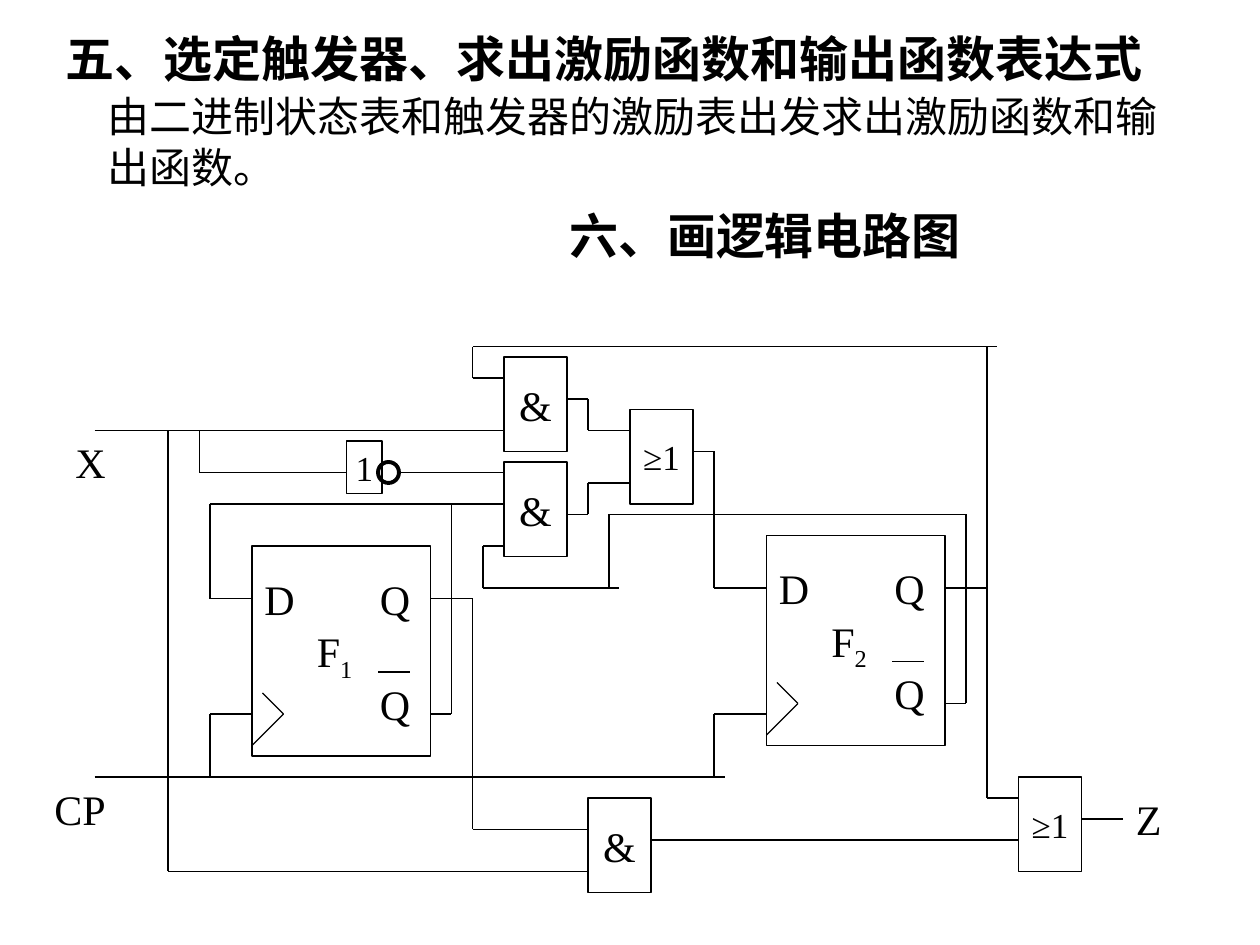
from itertools import pairwise
from pptx import Presentation
from pptx.dml.color import RGBColor
from pptx.enum.shapes import MSO_CONNECTOR, MSO_SHAPE
from pptx.enum.text import MSO_ANCHOR, MSO_AUTO_SIZE, PP_ALIGN
from pptx.oxml.ns import qn
from pptx.util import Inches, Pt
from lxml.etree import SubElement

BLACK = RGBColor(0x00, 0x00, 0x00)
FONT = "Times New Roman"

# Wording: text, box in inches, format
TITLE = ("五、选定触发器、求出激励函数和输出函数表达式", (0.42, 0.18, 9, 0.57))
BODY = ("由二进制状态表和触发器的激励表出发求出激励函数和输出函数。", (0.75, 0.67, 8.83, 0.9))
HEAD = ("六、画逻辑电路图", (4.42, 1.58, 3.5, 0.57))
BIG = {"size": Pt(28), "bold": True}
MID = {"size": Pt(24), "bold": False}
LOW = {"size": Pt(20), "bold": False}

# Circuit: all places are in grid steps of 1/12 inch
STEP = 1 / 12
FLOPS = [("1", 24, 52), ("2", 73, 51)]
PINS = [("D", 0, 2), ("Q", 11, 2), ("Q", 11, 12)]
MARKS = [
    [(1, 14), (3, 16), (0, 19)],  # clock wedge
    [(12, 12), (15, 12)],         # bar over Q
]
GATES = [
    ("&", (48, 34, 6, 9), MID),
    ("&", (48, 44, 6, 9), MID),
    ("&", (56, 76, 6, 9), MID),
    ("≥1", (60, 39, 6, 9), LOW),
    ("≥1", (97, 74, 6, 9), LOW),
    ("1", (33, 42, 3.4, 5), LOW),
]
BUBBLE = (36, 44, 2, 2)
PORTS = [("X", (6, 41, 6, 6)), ("CP", (4, 74, 10, 6)), ("Z", (107, 75, 8, 6))]
WIRES = [
    # clock
    [(9, 74), (69, 74)],
    [(24, 68), (20, 68), (20, 74)],
    [(68, 74), (68, 68), (73, 68)],
    # input X
    [(9, 41), (48, 41)],
    [(19, 41), (19, 45), (33, 45)],
    [(38, 45), (48, 45)],
    [(16, 41), (16, 83), (56, 83)],
    # first flip-flop
    [(24, 57), (20, 57), (20, 48), (48, 48)],
    [(41, 68), (43, 68), (43, 48)],
    [(41, 57), (45, 57), (45, 79), (56, 79)],
    # second flip-flop
    [(90, 56), (94, 56)],
    [(94, 33), (94, 76), (97, 76)],
    [(48, 36), (45, 36), (45, 33), (95, 33)],
    [(90, 67), (92, 67), (92, 49), (58, 49), (58, 56)],
    [(48, 52), (46, 52), (46, 56), (59, 56)],
    # gate outputs
    [(54, 38), (56, 38), (56, 41), (60, 41)],
    [(54, 49), (56, 49), (56, 46), (60, 46)],
    [(66, 43), (68, 43), (68, 56), (73, 56)],
    [(62, 80), (97, 80)],
    [(103, 78), (107, 78)],
]


def grid(*nums):
    return [Inches(n * STEP) for n in nums]


def style(font, form):
    for key, val in {"name": FONT, **form}.items():
        setattr(font, key, val)
    font.color.rgb = BLACK


def write(shape, text, form, align=PP_ALIGN.LEFT, **frame):
    base = {"word_wrap": True, "vertical_anchor": MSO_ANCHOR.TOP,
            "auto_size": MSO_AUTO_SIZE.NONE}
    for key, val in {**base, **frame}.items():
        setattr(shape.text_frame, key, val)
    para = shape.text_frame.paragraphs[0]
    para.alignment = align
    para.space_before = Pt(0)
    run = para.add_run()
    run.text = text
    style(run.font, form)
    return para


def place(shape, box):
    for key, val in zip(("left", "top", "width", "height"), box):
        setattr(shape, key, Inches(val))


def label(group, text, box):
    return write(group.shapes.add_textbox(*grid(*box)), text, MID)


def block(group, kind, box, width=0.75):
    shape = group.shapes.add_shape(kind, *grid(*box))
    shape.shadow.inherit = False
    shape.fill.background()
    shape.line.color.rgb = BLACK
    shape.line.width = Pt(width)
    return shape


def wire(group, points):
    for start, end in pairwise(points):
        line = group.shapes.add_connector(MSO_CONNECTOR.STRAIGHT, *grid(*start, *end))
        line.line.color.rgb = BLACK
        line.line.width = Pt(0.75)
        SubElement(line._element.spPr, qn("a:effectLst"))


def flop(group, num, x, y):
    block(group, MSO_SHAPE.RECTANGLE, (x, y, 17, 20))
    for text, dx, dy in PINS:
        label(group, text, (x + dx, y + dy, 6, 6))
    for mark in MARKS:
        wire(group, [(x + dx, y + dy) for dx, dy in mark])
    sub = label(group, "F", (x + 5, y + 7, 6, 6)).add_run()
    sub.text = num
    style(sub.font, MID)
    sub._r.get_or_add_rPr().set("baseline", "-25000")


def main():
    deck = Presentation()
    deck.slide_width, deck.slide_height = Inches(10), Inches(7.5)
    slide = deck.slides.add_slide(deck.slide_layouts[1])

    # Headings and text
    title, body = slide.placeholders
    place(title, TITLE[1])
    write(title, TITLE[0], BIG)
    place(body, BODY[1])
    props = write(body, BODY[0], MID)._p.get_or_add_pPr()
    props.set("marL", "0")
    props.set("indent", "0")
    SubElement(props, qn("a:buNone"))
    head = slide.shapes.add_textbox(*map(Inches, HEAD[1]))
    write(head, HEAD[0], BIG)

    # Circuit
    group = slide.shapes.add_group_shape()
    for item in FLOPS:
        flop(group, *item)
    for points in WIRES:
        wire(group, points)
    for text, box, form in GATES:
        gate = block(group, MSO_SHAPE.RECTANGLE, box)
        write(gate, text, form, PP_ALIGN.CENTER, word_wrap=False,
              vertical_anchor=MSO_ANCHOR.MIDDLE)
    block(group, MSO_SHAPE.OVAL, BUBBLE, 2.25)
    for text, box in PORTS:
        label(group, text, box)

    deck.save("out.pptx")


if __name__ == "__main__":
    main()
